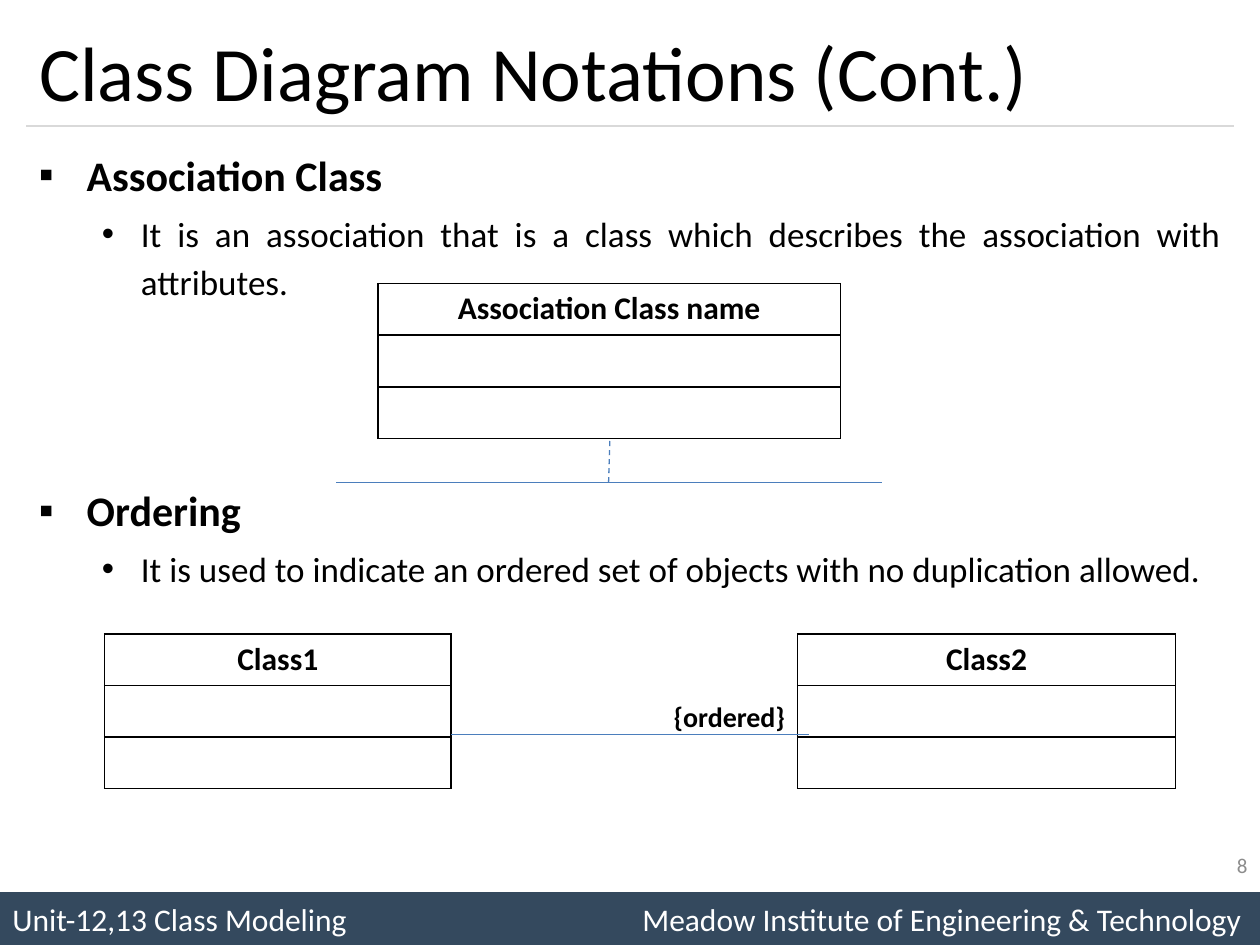
from lxml import etree
from pptx import Presentation
from pptx.dml.color import RGBColor
from pptx.enum.dml import MSO_LINE
from pptx.enum.shapes import MSO_CONNECTOR, MSO_SHAPE
from pptx.enum.text import MSO_ANCHOR, PP_ALIGN
from pptx.oxml.ns import qn
from pptx.util import Inches, Pt

COLORS = {"text": "000000", "bar": "34495E", "white": "FFFFFF",
          "rule": "D9D9D9", "link": "4B7EBC", "number": "8C8C8C"}
FONT = "Calibri"
WIDTH, HEIGHT = 10, 7.5
MARGIN, ROW = 0.21, 0.41
CONTENT = WIDTH - 2 * MARGIN

TITLE = "Class Diagram Notations (Cont.)"
FOOTER = "Unit-12,13 Class Modeling\tMeadow Institute of Engineering & Technology"
LEVELS = [{"size": 24, "bold": True, "left": 0.38, "hang": 0.38, "bullet": "▪"},
          {"size": 20, "bold": False, "left": 0.81, "hang": 0.31, "bullet": "•"}]
BODY = [
    (0, 5, "Association Class"),
    (1, 4, "It is an association that is a class which describes the association with attributes."),
    (0, 100, "Ordering"),
    (1, 4, "It is used to indicate an ordered set of objects with no duplication allowed."),
]
CLASSES = [("Association Class name", 3, 2.25, 3.67),
           ("Class1", 0.83, 5.03, 2.75),
           ("Class2", 6.33, 5.03, 3)]
LINES = [(MARGIN, 1, WIDTH - MARGIN, 1, "rule", False),
         (4.84, 3.5, 4.83, 3.83, "link", True),
         (2.67, 3.83, 7, 3.83, "link", False),
         (3.58, 5.83, 6.42, 5.83, "link", False)]
LABELS = [("8", 7.67, 6.67, 2.33, 0.4, 12, "number", False),
          ("{ordered}", 5, 5.5, 1.33, 0.37, 16, "text", True)]


def color(name):
    return RGBColor.from_string(COLORS[name])


def write(paragraph, text, size, name="text", bold=False, align=PP_ALIGN.LEFT):
    paragraph.alignment = align
    run = paragraph.add_run()
    run.text = text
    run.font.name, run.font.size, run.font.bold = FONT, Pt(size), bold
    run.font.color.rgb = color(name)


def text_box(left, top, width, height):
    frame = slide.shapes.add_textbox(*map(Inches, (left, top, width, height))).text_frame
    frame.word_wrap = True
    return frame


def add_bullet(paragraph, level):
    props = paragraph._p.get_or_add_pPr()
    props.set("marL", str(Inches(level["left"])))
    props.set("indent", str(-Inches(level["hang"])))
    etree.SubElement(props, qn("a:buFont"), typeface="Arial")
    etree.SubElement(props, qn("a:buChar"), char=level["bullet"])


def add_line(x1, y1, x2, y2, name, dashed):
    line = slide.shapes.add_connector(MSO_CONNECTOR.STRAIGHT, *map(Inches, (x1, y1, x2, y2)))
    line.line.color.rgb = color(name)
    line.line.width = Pt(0.75)
    if dashed:
        line.line.dash_style = MSO_LINE.DASH
    etree.SubElement(line._element.spPr, qn("a:effectLst"))


def add_borders(cell):
    props = cell._tc.get_or_add_tcPr()
    for index, side in enumerate(("lnL", "lnR", "lnT", "lnB")):
        border = etree.Element(qn("a:" + side), w=str(Pt(1)))
        fill = etree.SubElement(border, qn("a:solidFill"))
        etree.SubElement(fill, qn("a:srgbClr"), val=COLORS["text"])
        props.insert(index, border)


def add_class(name, left, top, width):
    table = slide.shapes.add_table(3, 1, *map(Inches, (left, top, width, 3 * ROW))).table
    table.first_row = table.horz_banding = False
    for row in table.rows:
        row.height = Inches(ROW)
        cell = row.cells[0]
        cell.fill.background()
        add_borders(cell)
    write(table.cell(0, 0).text_frame.paragraphs[0], name, 18, bold=True, align=PP_ALIGN.CENTER)


prs = Presentation()
prs.slide_width, prs.slide_height = Inches(WIDTH), Inches(HEIGHT)
slide = prs.slides.add_slide(prs.slide_layouts[5])

title = slide.shapes.title
title.left, title.top, title.width, title.height = map(Inches, (MARGIN, 0.12, CONTENT, 0.88))
title.text_frame.vertical_anchor = MSO_ANCHOR.MIDDLE
write(title.text_frame.paragraphs[0], TITLE, 44)

bar = slide.shapes.add_shape(MSO_SHAPE.RECTANGLE, *map(Inches, (0, 7.08, WIDTH, 0.42)))
bar.shadow.inherit = False
bar.fill.solid()
bar.fill.fore_color.rgb = color("bar")
bar.line.fill.background()
bar.text_frame.vertical_anchor = MSO_ANCHOR.MIDDLE
footer = bar.text_frame.paragraphs[0]
write(footer, FOOTER, 18, "white")
tabs = etree.SubElement(footer._p.get_or_add_pPr(), qn("a:tabLst"))
etree.SubElement(tabs, qn("a:tab"), pos=str(Inches(5)), algn="l")

body = text_box(MARGIN, 1.08, CONTENT, 5.83)
for index, (depth, gap, text) in enumerate(BODY):
    paragraph = body.add_paragraph() if index else body.paragraphs[0]
    level = LEVELS[depth]
    paragraph.level = depth
    paragraph.line_spacing = 1.14
    paragraph.space_before = Pt(gap)
    write(paragraph, text, level["size"], bold=level["bold"], align=PP_ALIGN.JUSTIFY)
    add_bullet(paragraph, level)

for item in CLASSES:
    add_class(*item)
for item in LINES:
    add_line(*item)
for text, left, top, width, height, size, name, bold in LABELS:
    frame = text_box(left, top, width, height)
    frame.vertical_anchor = MSO_ANCHOR.MIDDLE
    write(frame.paragraphs[0], text, size, name, bold, PP_ALIGN.RIGHT)

prs.save("out.pptx")
